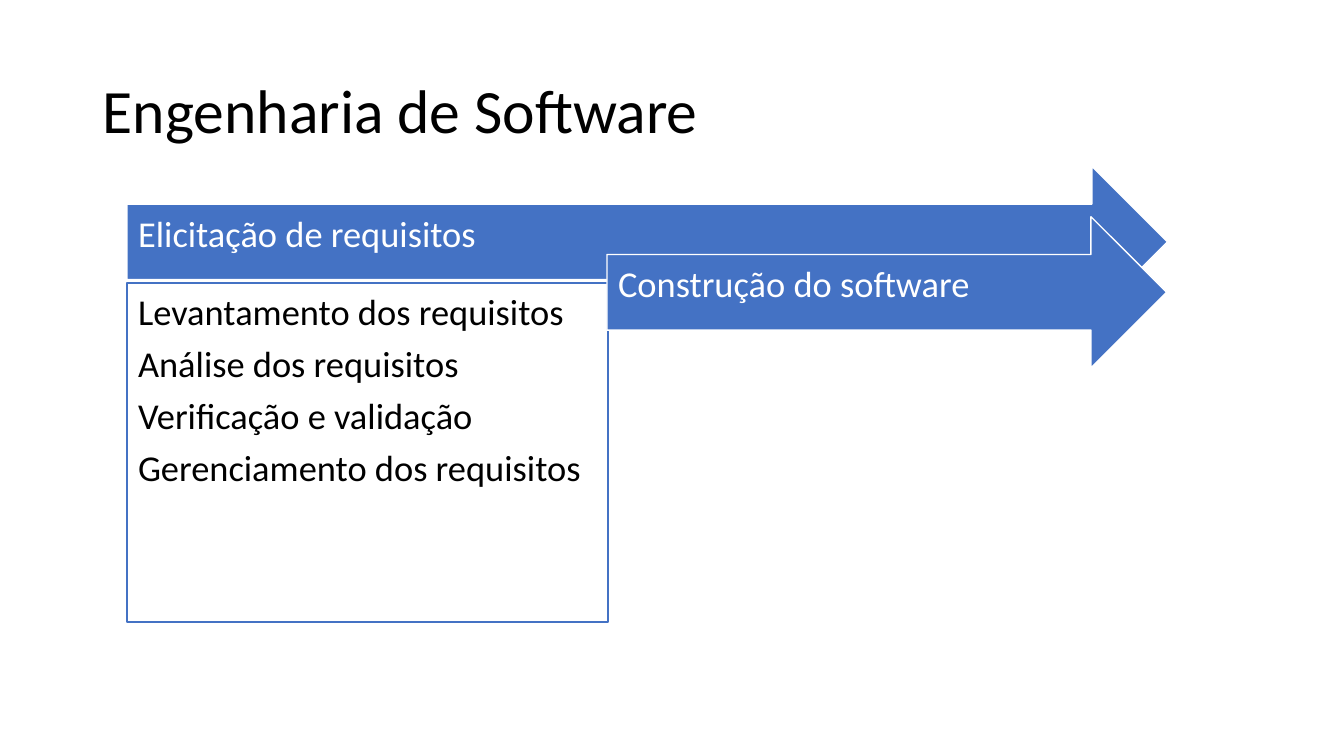
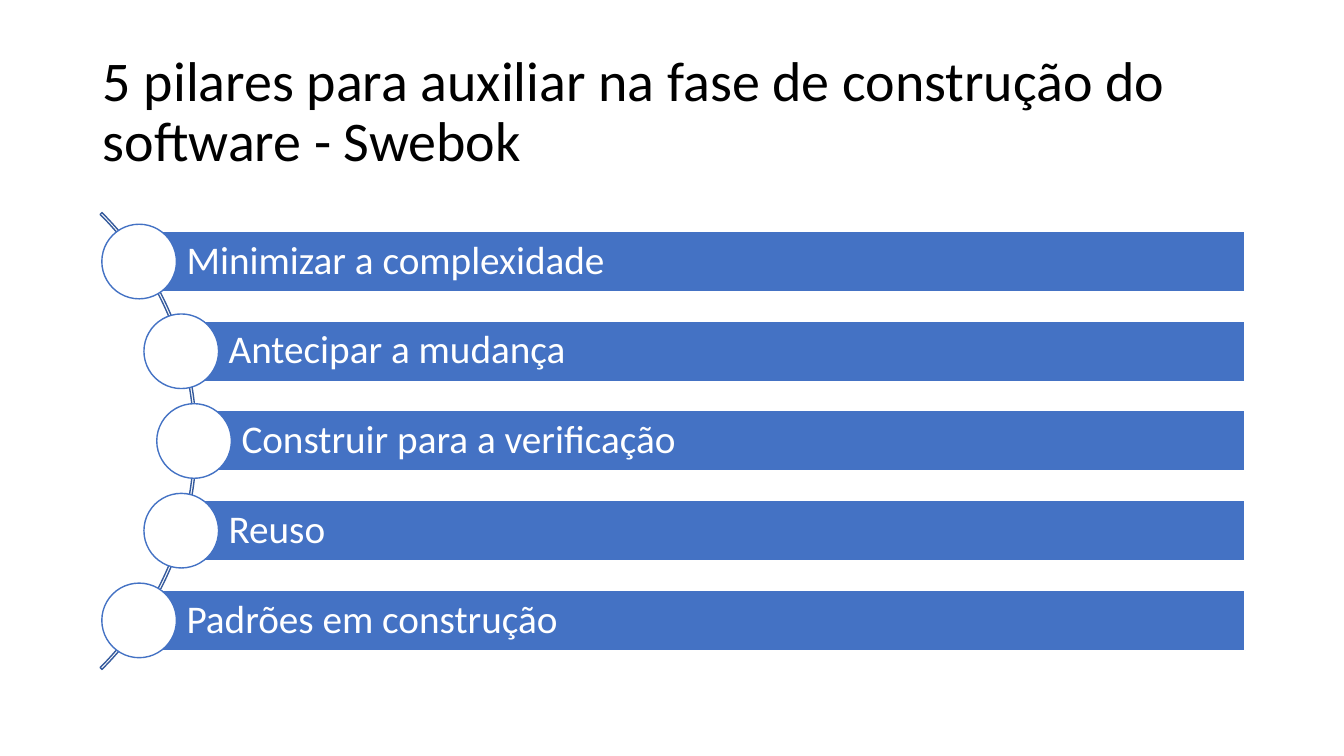
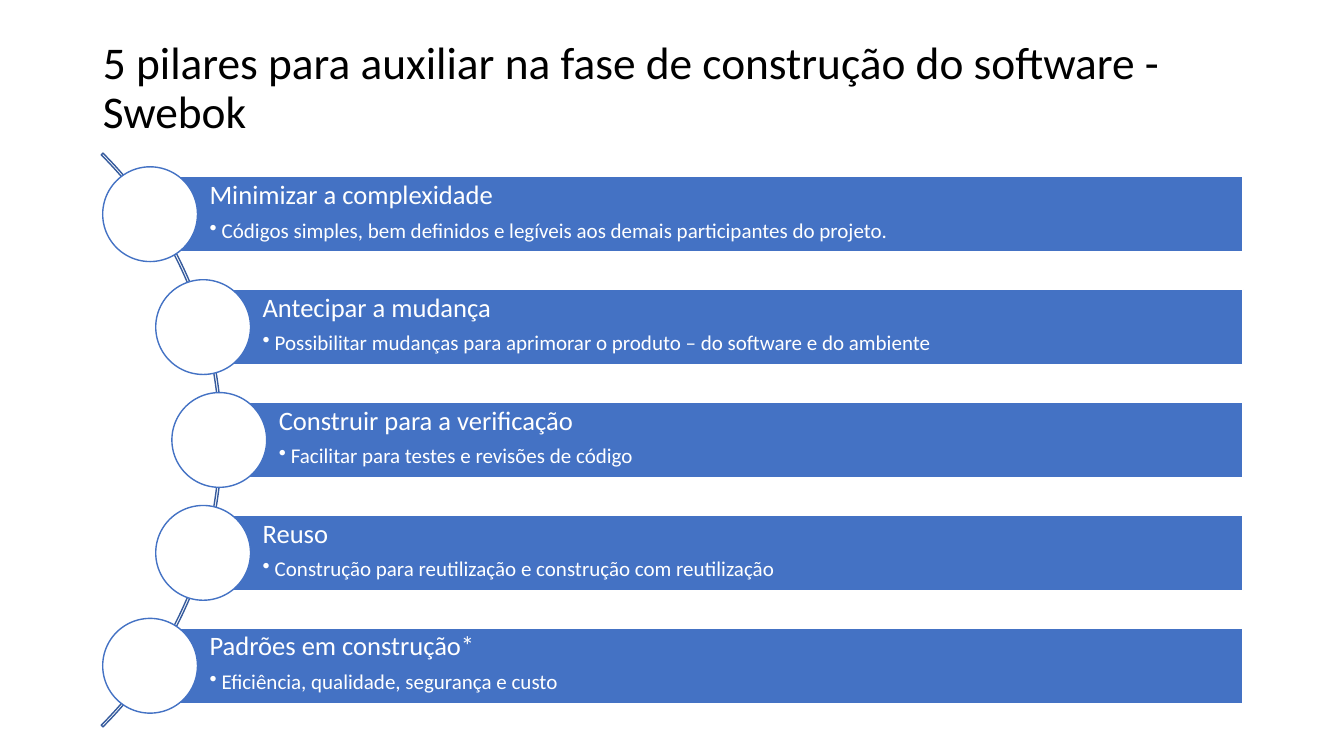
"""Build three slides on requirements and the pillars of software construction."""
import math

import lxml.etree
import pptx
import pptx.dml.color
import pptx.enum.shapes
import pptx.enum.text
import pptx.oxml.ns
import pptx.util

Inches = pptx.util.Inches
Pt = pptx.util.Pt
SHAPE = pptx.enum.shapes.MSO_SHAPE
ANCHOR = pptx.enum.text.MSO_ANCHOR

COLORS = {"accent": "4472C4", "arc": "365B9D", "light": "FFFFFF", "dark": "000000"}
FONT = "Calibri"
PILLARS_TITLE = "5 pilares para auxiliar na fase de construção do software - Swebok"
REQUIREMENT_STEPS = [
    "Levantamento dos requisitos",
    "Análise dos requisitos",
    "Verificação e validação",
    "Gerenciamento dos requisitos",
]
PILLARS = [
    ("Minimizar a complexidade",
     "Códigos simples, bem definidos e legíveis aos demais participantes do projeto."),
    ("Antecipar a mudança",
     "Possibilitar mudanças para aprimorar o produto – do software e do ambiente"),
    ("Construir para a verificação", "Facilitar para testes e revisões de código"),
    ("Reuso", "Construção para reutilização e construção com reutilização"),
    ("Padrões em construção", "Eficiência, qualidade, segurança e custo"),
]


def rgb(name):
    """Return the named palette colour."""
    return pptx.dml.color.RGBColor.from_string(COLORS[name])


def add_bullet(paragraph):
    """Give a paragraph a hanging round bullet."""
    paragraph.level = 1
    properties = paragraph._p.get_or_add_pPr()
    properties.set("marL", str(Inches(0.12)))
    properties.set("indent", str(Inches(-0.12)))
    bullet = lxml.etree.SubElement(properties, pptx.oxml.ns.qn("a:buChar"))
    bullet.set("char", "•")


def write_text(shape, lines, color, insets, anchor=ANCHOR.MIDDLE):
    """Fill a shape with left-aligned lines given as (text, size, bulleted)."""
    frame = shape.text_frame
    frame.word_wrap = True
    frame.auto_size = pptx.enum.text.MSO_AUTO_SIZE.NONE
    frame.vertical_anchor = anchor
    frame.margin_left, frame.margin_top, frame.margin_right, frame.margin_bottom = map(Inches, insets)
    for index, (text, size, bulleted) in enumerate(lines):
        paragraph = frame.add_paragraph() if index else frame.paragraphs[0]
        paragraph.alignment = pptx.enum.text.PP_ALIGN.LEFT
        paragraph.line_spacing = 0.9
        paragraph.space_before = Pt(0)
        if index < len(lines) - 1:
            paragraph.space_after = Pt(round(size * 0.35))
        if bulleted:
            add_bullet(paragraph)
        run = paragraph.add_run()
        run.text = text
        run.font.size = Pt(size)
        run.font.name = FONT
        run.font.color.rgb = rgb(color)


def add_titled_slide(presentation, title, size, height=1.45):
    """Add a slide whose title placeholder carries the shared style."""
    slide = presentation.slides.add_slide(presentation.slide_layouts[5])
    shape = slide.shapes.title
    shape.left, shape.top = Inches(0.92), Inches(0.4)
    shape.width, shape.height = Inches(11.5), Inches(height)
    write_text(shape, [(title, size, False)], "dark", (0.1, 0.05, 0.1, 0.05))
    return slide


def add_outlined_shape(slide, kind, box, fill, line):
    """Add a flat preset shape with a thin outline and an optional fill."""
    shape = slide.shapes.add_shape(kind, *map(Inches, box))
    shape.shadow.inherit = False
    if fill:
        shape.fill.solid()
        shape.fill.fore_color.rgb = rgb(fill)
    else:
        shape.fill.background()
    shape.line.color.rgb = rgb(line)
    shape.line.width = Pt(1)
    return shape


def add_phase_arrow(slide, left, top, width, text):
    """Add a labelled block arrow for one project phase."""
    arrow = add_outlined_shape(slide, SHAPE.RIGHT_ARROW, (left, top, width, 1.5), "accent", "light")
    write_text(arrow, [(text, 26, False)], "light", (0.11, 0.11, 0.28, 0.24))


def add_pillar(slide, center, right, bar_height, diameter, lines, insets, anchor):
    """Add one text bar with a circle over its left end."""
    x, y = center
    bar = add_outlined_shape(
        slide, SHAPE.RECTANGLE, (x, y - bar_height / 2, right - x, bar_height), "accent", "light")
    write_text(bar, lines, "light", insets, anchor)
    circle_box = (x - diameter / 2, y - diameter / 2, diameter, diameter)
    add_outlined_shape(slide, SHAPE.OVAL, circle_box, "light", "accent")


def add_pillar_list(slide, arc_box, thickness, radius, step, pillars, **pillar_style):
    """Add an arc and place the pillars along it at equal vertical steps."""
    arc = add_outlined_shape(slide, SHAPE.BLOCK_ARC, arc_box, None, "arc")
    for index, value in enumerate((189, 27, thickness)):
        arc.adjustments[index] = value
    left, top, width, height = arc_box
    for index, lines in enumerate(pillars):
        offset = (index - (len(pillars) - 1) / 2) * step
        x = left + width / 2 + math.sqrt(radius ** 2 - offset ** 2)
        add_pillar(slide, (x, top + height / 2 + offset), lines=lines, **pillar_style)


def build_phases_slide(presentation):
    """Build the slide of overlapping requirement and construction phases."""
    slide = add_titled_slide(presentation, "Engenharia de Software", 44)
    add_phase_arrow(slide, 1.26, 1.65, 10.32, "Elicitação de requisitos")
    steps = add_outlined_shape(slide, SHAPE.RECTANGLE, (1.26, 2.81, 4.77, 3.36), "light", "accent")
    lines = [(text, 26, False) for text in REQUIREMENT_STEPS]
    write_text(steps, lines, "dark", (0.11,) * 4, ANCHOR.TOP)
    add_phase_arrow(slide, 6.02, 2.15, 5.55, "Construção do software")


def build_pillars_slide(presentation):
    """Build the slide that names the five pillars."""
    slide = add_titled_slide(presentation, PILLARS_TITLE, 40)
    pillars = [[(name, 28, False)] for name, _ in PILLARS]
    add_pillar_list(
        slide, (-4.46, 1.17, 6.41, 6.41), 0.004, 3.18, 0.89, pillars,
        right=12.35, bar_height=0.6, diameter=0.74,
        insets=(0.47, 0.08, 0.08, 0.08), anchor=ANCHOR.MIDDLE)


def build_details_slide(presentation):
    """Build the slide that explains each pillar."""
    slide = add_titled_slide(presentation, PILLARS_TITLE, 32.4, 0.98)
    pillars = [[(name, 19, False), (detail, 15, True)] for name, detail in PILLARS]
    name, size, bulleted = pillars[-1][0]
    pillars[-1][0] = (name + "*", size, bulleted)
    add_pillar_list(
        slide, (-5.85, 0.34, 8.05, 8.05), 0.003, 4, 1.12, pillars,
        right=12.33, bar_height=0.75, diameter=0.94,
        insets=(0.59, 0.05, 0.05, 0.05), anchor=ANCHOR.TOP)


def main():
    """Build and save the presentation."""
    presentation = pptx.Presentation()
    presentation.slide_width = Inches(13.33)
    presentation.slide_height = Inches(7.5)
    build_phases_slide(presentation)
    build_pillars_slide(presentation)
    build_details_slide(presentation)
    presentation.save("out.pptx")


if __name__ == "__main__":
    main()
